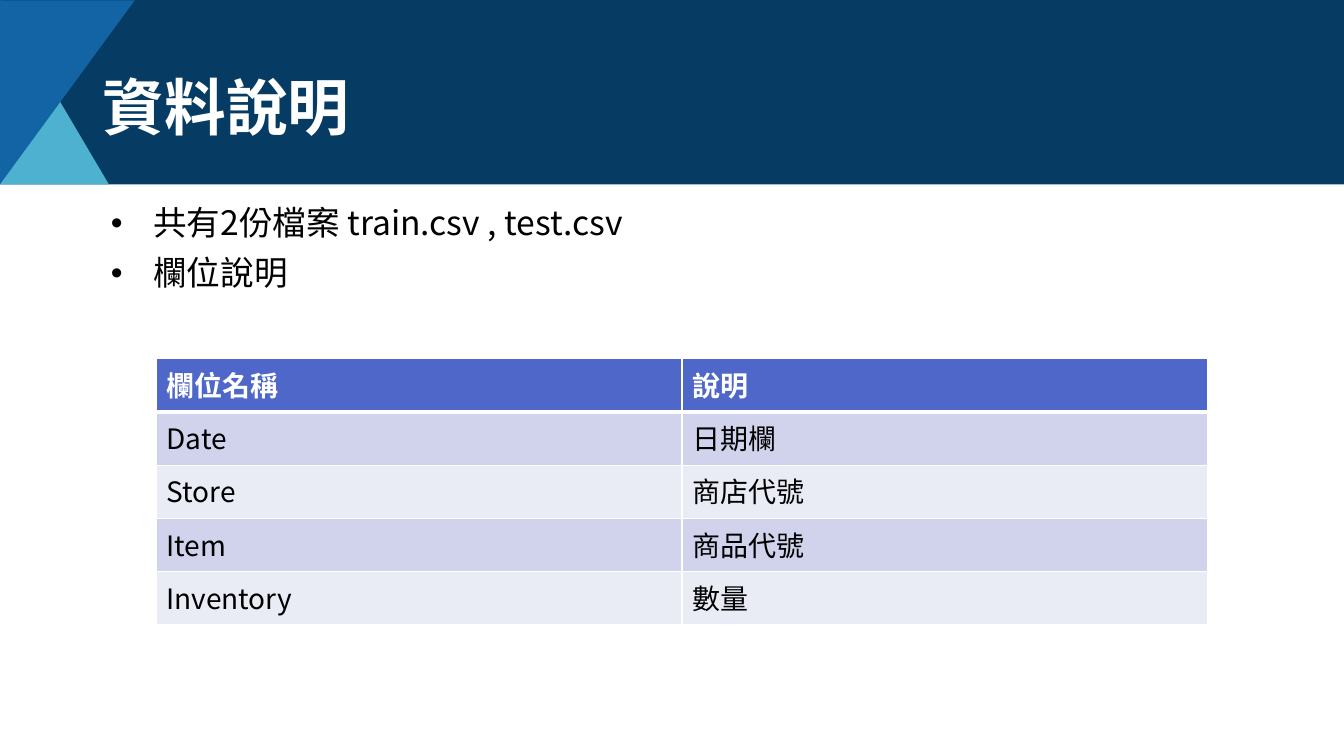
from pptx import Presentation
from pptx.dml.color import RGBColor
from pptx.enum.shapes import MSO_SHAPE
from pptx.enum.text import MSO_ANCHOR, MSO_AUTO_SIZE, PP_ALIGN
from pptx.oxml import parse_xml
from pptx.oxml.ns import nsdecls
from pptx.util import Inches, Pt

FONT = "Noto Sans CJK TC"
WHITE = RGBColor(0xFF, 0xFF, 0xFF)
BLACK = RGBColor(0x00, 0x00, 0x00)
NAVY = RGBColor(0x06, 0x3C, 0x64)
BLUE = RGBColor(0x12, 0x64, 0xA4)
TEAL = RGBColor(0x4E, 0xB1, 0xCF)
HEADER_FILL = RGBColor(0x4E, 0x67, 0xC8)
ROW_FILLS = [RGBColor(0xE9, 0xEB, 0xF5), RGBColor(0xD0, 0xD3, 0xEB)]


def write_text(paragraph, text, size, color, bold=False):
    run = paragraph.add_run()
    run.text = text
    run.font.color.rgb = color
    for name, value in {"name": FONT, "size": Pt(size), "bold": bold}.items():
        setattr(run.font, name, value)
    properties = run._r.get_or_add_rPr()
    properties.set("lang", "zh-TW")
    properties.append(parse_xml(f'<a:ea {nsdecls("a")} typeface="{FONT}"/>'))


def add_border(cell, position, side, width):
    border = parse_xml(
        f'<a:{side} {nsdecls("a")} w="{Pt(width)}"><a:solidFill>'
        f'<a:srgbClr val="{WHITE}"/></a:solidFill></a:{side}>')
    cell._tc.get_or_add_tcPr().insert(position, border)


presentation = Presentation()
presentation.slide_width = Inches(13.33)
presentation.slide_height = Inches(7.5)
slide = presentation.slides.add_slide(presentation.slide_layouts[1])
title, body = slide.placeholders

# Header band with two corner triangles
header_shapes = [
    (MSO_SHAPE.RECTANGLE, 0, 0, 13.33, 1.83, 0, NAVY),
    (MSO_SHAPE.RIGHT_TRIANGLE, 0, 0, 1.08, 1.83, 0, TEAL),
    (MSO_SHAPE.RIGHT_TRIANGLE, -0.25, 0.25, 1.83, 1.34, 90, BLUE),
]
for kind, left, top, width, height, rotation, color in header_shapes:
    shape = slide.shapes.add_shape(
        kind, Inches(left), Inches(top), Inches(width), Inches(height))
    shape.rotation = rotation
    shape.shadow.inherit = False
    shape.fill.solid()
    shape.fill.fore_color.rgb = color
    shape.line.fill.background()

# Place the body and title in front of the band
for placeholder, top, height, anchor in [
    (body, 2, 4.76, MSO_ANCHOR.TOP),
    (title, 0.4, 1.4, MSO_ANCHOR.MIDDLE),
]:
    box = {"left": 0.92, "top": top, "width": 11.5, "height": height}
    for name, value in box.items():
        setattr(placeholder, name, Inches(value))
    placeholder.text_frame.auto_size = MSO_AUTO_SIZE.NONE
    placeholder.text_frame.vertical_anchor = anchor
    placeholder.element.getparent().append(placeholder.element)

# Title
paragraph = title.text_frame.paragraphs[0]
paragraph.alignment = PP_ALIGN.LEFT
paragraph.line_spacing = 0.9
write_text(paragraph, "資料說明", 44, WHITE, bold=True)

# Bullet list
for index, text in enumerate(["共有2份檔案 train.csv , test.csv", "欄位說明"]):
    frame = body.text_frame
    paragraph = frame.add_paragraph() if index else frame.paragraphs[0]
    for name, value in {"line_spacing": 0.9, "space_before": Pt(10)}.items():
        setattr(paragraph, name, value)
    properties = paragraph._p.get_or_add_pPr()
    properties.set("marL", str(Inches(0.5)))
    properties.set("indent", str(Inches(-0.42)))
    for bullet in ('buFont {} typeface="Arial"', 'buChar {} char="•"'):
        properties.append(parse_xml(f'<a:{bullet.format(nsdecls("a"))}/>'))
    write_text(paragraph, text, 24, BLACK)

# Column description table
rows = [
    ("欄位名稱", "說明"),
    ("Date", "日期欄"),
    ("Store", "商店代號"),
    ("Item", "商品代號"),
    ("Inventory", "數量"),
]
table = slide.shapes.add_table(
    len(rows), 2, Inches(1.55), Inches(3.56), Inches(10.43), Inches(2.64)).table
for row_index, row in enumerate(rows):
    is_header = row_index == 0
    for column_index, text in enumerate(row):
        cell = table.cell(row_index, column_index)
        cell.fill.solid()
        cell.fill.fore_color.rgb = HEADER_FILL if is_header else ROW_FILLS[row_index % 2]
        widths = {"lnL": 1, "lnR": 1,
                  "lnT": 3 if row_index == 1 else 1,
                  "lnB": 3 if is_header else 1}
        for position, (side, width) in enumerate(widths.items()):
            add_border(cell, position, side, width)
        write_text(cell.text_frame.paragraphs[0], text, 20,
                   WHITE if is_header else BLACK, bold=is_header)

presentation.save("out.pptx")
